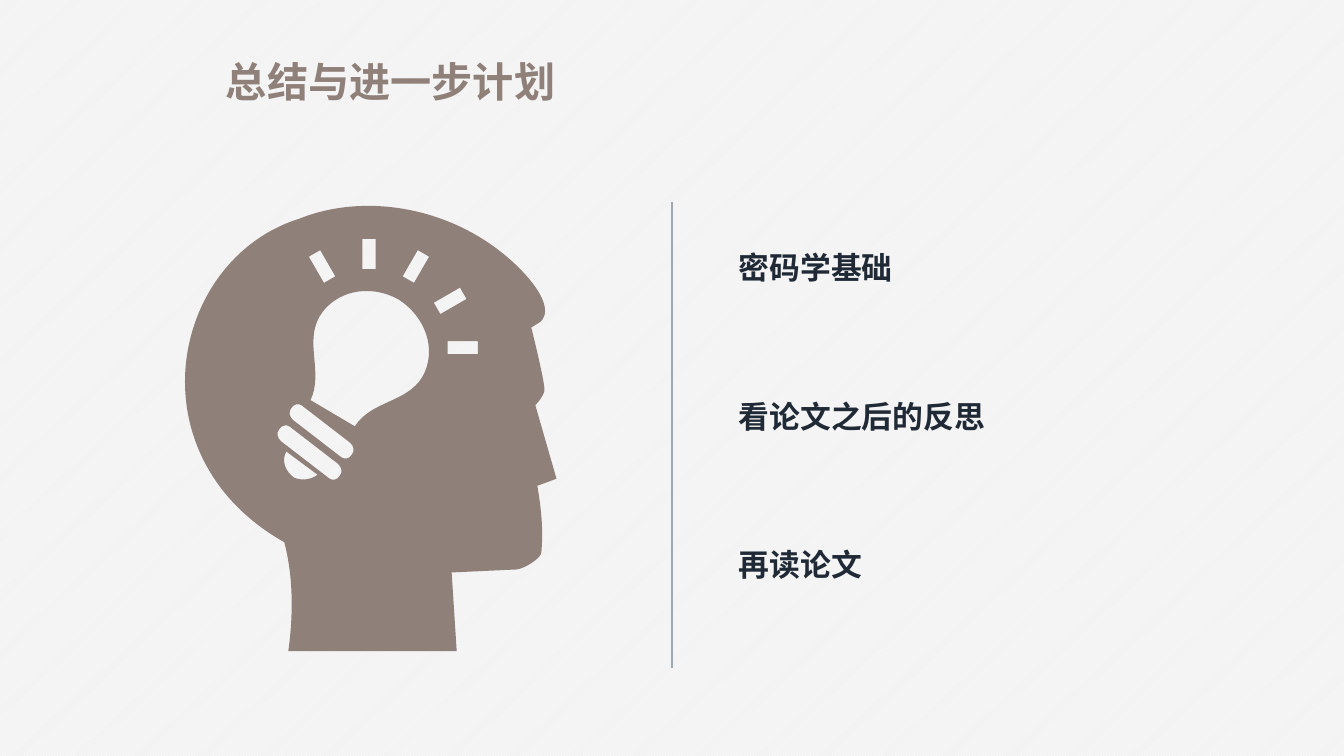
from math import cos, radians, sin

from lxml import etree
from pptx import Presentation
from pptx.dml.color import RGBColor
from pptx.enum.dml import MSO_PATTERN
from pptx.enum.shapes import MSO_CONNECTOR
from pptx.enum.text import MSO_ANCHOR, MSO_AUTO_SIZE, PP_ALIGN
from pptx.oxml.ns import qn
from pptx.util import Inches, Pt

STRAIGHT = MSO_CONNECTOR.STRAIGHT
DIAGONAL = MSO_PATTERN.LIGHT_UPWARD_DIAGONAL
TOP = MSO_ANCHOR.TOP
GROW = MSO_AUTO_SIZE.SHAPE_TO_FIT_TEXT
LEFT = PP_ALIGN.LEFT

WIDTH, HEIGHT = Inches(13.33), Inches(7.5)
ROWS = 75  # square grid cells, so columns are as wide as rows are high
CELL = HEIGHT / ROWS

COLORS = {
    "stripe": "FFFFFF",
    "paper": "F2F2F2",
    "taupe": "90807A",
    "ink": "202A36",
    "rule": "9DA8B1",
}

TITLE = "总结与进一步计划"
TOPICS = ["密码学基础", "看论文之后的反思", "再读论文"]
TOPIC_WIDTHS = [17.3, 26.4, 14.2]
TOPIC_TOP, TOPIC_STEP = 24.2, 14.73

# Outlines in grid cells: a pair is a corner, six numbers are a Bézier curve.
HEAD = [
    (28.6, 64.6), (29.1, 61, 29.1, 57.2, 28.2, 53.8),
    (13, 45.2, 16.9, 25.7, 29.7, 21.7), (36.4, 19, 45.4, 20.6, 51.4, 26.5),
    (55.7, 30.8, 53.5, 32, 53.5, 32), (52.7, 32.5),
    (53.2, 34.5, 54.1, 38.3, 54, 38.8), (53.8, 39.5, 53.1, 40.2, 53.1, 40.2),
    (55.2, 47.5), (53.3, 48.2), (53.7, 50.6, 53.9, 52.5, 53.7, 54.8),
    (53.7, 55.3, 52.3, 56.3, 51.3, 56.5), (44.8, 56.8), (45.3, 64.6),
]
BULB = [
    (39.5, 29.7), (36.6, 28.1, 33.2, 28.9, 31.7, 31.4),
    (30.2, 34, 32.1, 37, 30.8, 39.7), (35.2, 42.3),
    (36.9, 39.7, 40.3, 40, 41.9, 37.4), (43.4, 34.7, 42.2, 31.4, 39.5, 29.7),
]
BULB_TIP = [
    (28.4, 44.8), (27.9, 45.7, 28.3, 46.8, 29.2, 47.4),
    (29.9, 47.7, 30.9, 47.6, 31.5, 47.1),
]
SCREW_THREAD = [
    (34.7, 43.9), (29.9, 40.2), (29.6, 40, 29.1, 40.1, 28.9, 40.5),
    (28.6, 40.8, 28.7, 41.4, 29.1, 41.7), (33.9, 45.4),
    (34.2, 45.6, 34.7, 45.5, 34.9, 45.1), (35.2, 44.8, 35.1, 44.2, 34.7, 43.9),
]
THREAD_SHIFT = (-1.2, 2.1)
RAY_CENTER, RAY_RADIUS = (36.6, 34.5), 9.3
RAY_LENGTH, RAY_WIDTH = 3, 1.3
RAY_ANGLES = range(0, 121, 30)


def cells(count):
    return round(count * CELL)


def color(name):
    return RGBColor.from_string(COLORS[name])


def write(shape, text, *, size, font, ink, bold=True):
    frame = shape.text_frame
    frame.word_wrap = False
    frame.auto_size = GROW
    frame.vertical_anchor = TOP
    paragraph = frame.paragraphs[0]
    paragraph.alignment = LEFT
    run = paragraph.add_run()
    run.text = text
    run.font.size, run.font.bold, run.font.name = Pt(size), bold, font
    run.font.color.rgb = color(ink)
    east_asian = etree.SubElement(run.font._element, qn("a:ea"))
    east_asian.set("typeface", font)


def vertices(segment):
    """Split a corner or curve into its one or three grid points."""
    return [(cells(x), cells(y)) for x, y in zip(segment[::2], segment[1::2])]


def bend(figure, segments):
    """Join the three lines drawn for each curve into one Bézier segment."""
    lines = iter(list(figure._element.iter(qn("a:lnTo"))))
    for segment in segments:
        first = next(lines)
        if len(segment) == 6:
            first.tag = qn("a:cubicBezTo")
            for _ in range(2):
                extra = next(lines)
                first.append(extra[0])
                extra.getparent().remove(extra)


def light_ray(degrees):
    """Corners of a bar pointing away from the bulb."""
    along_x, along_y = cos(radians(degrees)), -sin(radians(degrees))
    half = RAY_WIDTH / 2
    near, far = RAY_RADIUS - RAY_LENGTH / 2, RAY_RADIUS + RAY_LENGTH / 2
    return [
        (RAY_CENTER[0] + reach * along_x - side * along_y,
         RAY_CENTER[1] + reach * along_y + side * along_x)
        for reach, side in ((near, -half), (far, -half), (far, half), (near, half))
    ]


class SlideBuilder:
    def __init__(self, deck):
        self.slide = deck.slides.add_slide(deck.slide_layouts[5])
        self.shapes = self.slide.shapes
        self.topic_style = {"size": 22, "font": "Noto Sans CJK SC", "ink": "ink"}
        self.title_style = {"size": 29.4, "font": "Arial", "ink": "taupe"}

    def background(self):
        fill = self.slide.background.fill
        fill.patterned()
        fill.pattern = DIAGONAL
        fill.fore_color.rgb = color("stripe")
        fill.back_color.rgb = color("paper")

    def title(self, text, left, top, width, height):
        heading = self.shapes.title
        heading.left, heading.top = cells(left), cells(top)
        heading.width, heading.height = cells(width), cells(height)
        write(heading, text, **self.title_style)

    def topic(self, text, left, top, width, height):
        box = self.shapes.add_textbox(*map(cells, (left, top, width, height)))
        write(box, text, **self.topic_style)

    def divider(self, column, top, bottom):
        rule = self.shapes.add_connector(
            STRAIGHT, *map(cells, (column, top, column, bottom)))
        rule.line.color.rgb = color("rule")
        rule.line.width = Pt(1)
        etree.SubElement(rule._element.spPr, qn("a:effectLst"))

    def silhouette(self, outlines, fill):
        """Draw the first outline with the others cut out of it."""
        builder = self.shapes.build_freeform(*vertices(outlines[0][0])[0], scale=1.0)
        for index, (start, *segments) in enumerate(outlines):
            if index:
                builder.move_to(*vertices(start)[0])
            builder.add_line_segments(
                [point for segment in segments for point in vertices(segment)],
                close=True)
        figure = builder.convert_to_shape()
        bend(figure, [segment for outline in outlines for segment in outline[1:]])
        figure.shadow.inherit = False
        figure.fill.solid()
        figure.fill.fore_color.rgb = color(fill)
        figure.line.fill.background()


def main():
    deck = Presentation()
    deck.slide_width, deck.slide_height = WIDTH, HEIGHT
    page = SlideBuilder(deck)
    page.background()
    page.divider(66.65, 20, 66.3)
    for index, (topic, width) in enumerate(zip(TOPICS, TOPIC_WIDTHS)):
        page.topic(topic, 72.3, TOPIC_TOP + index * TOPIC_STEP, width, 4.7)
    page.title(TITLE, 21.4, 5.1, 34.7, 5.9)
    lower_thread = [
        tuple(value + THREAD_SHIFT[i % 2] for i, value in enumerate(segment))
        for segment in SCREW_THREAD
    ]
    rays = [light_ray(degrees) for degrees in RAY_ANGLES]
    page.silhouette([HEAD, BULB, SCREW_THREAD, lower_thread, BULB_TIP, *rays], "taupe")
    deck.save("out.pptx")


if __name__ == "__main__":
    main()
